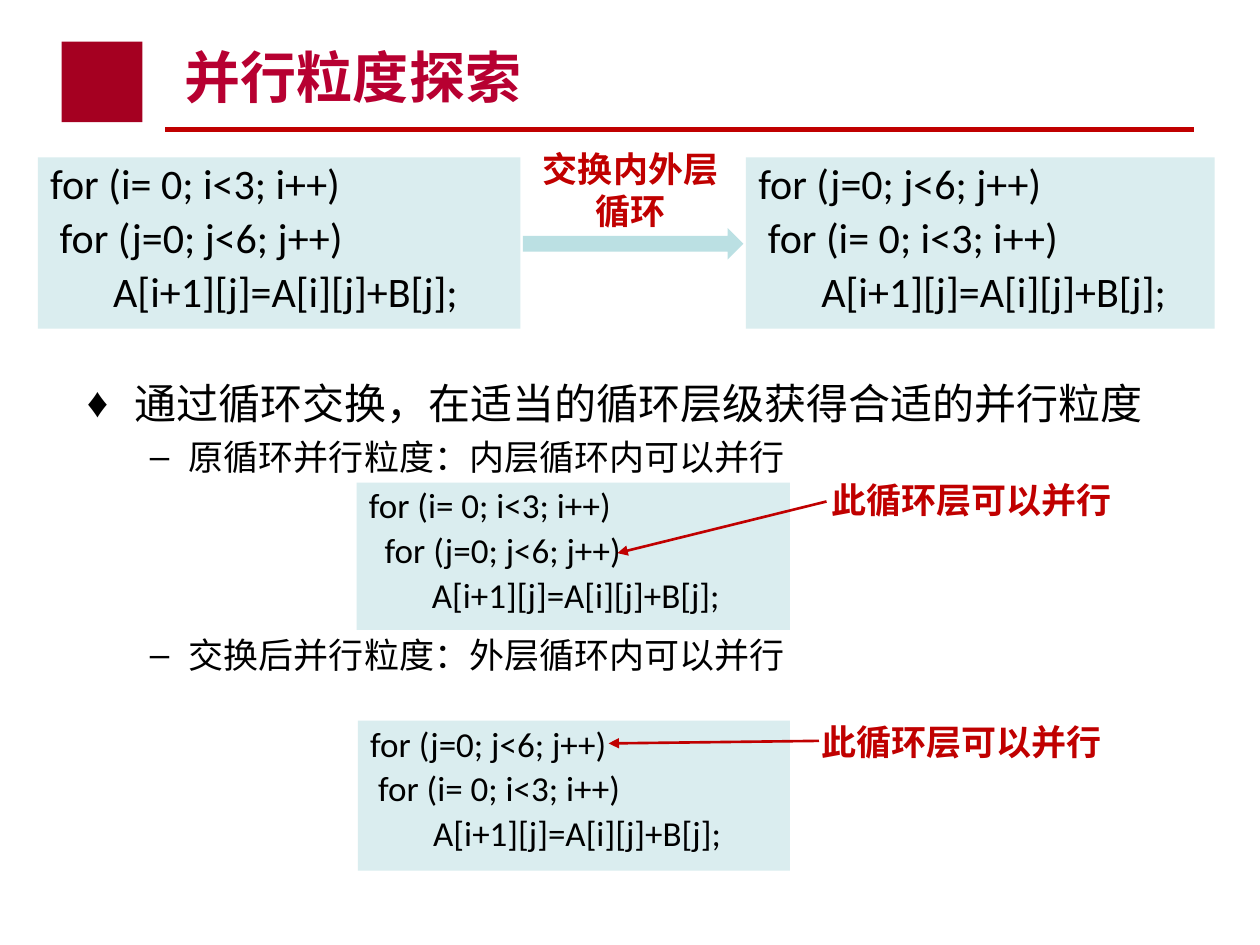
from lxml import etree
from pptx import Presentation
from pptx.dml.color import RGBColor
from pptx.enum.shapes import MSO_CONNECTOR, MSO_SHAPE
from pptx.enum.text import MSO_ANCHOR, PP_ALIGN
from pptx.oxml.ns import qn
from pptx.util import Inches, Pt

COLORS = {
    "title": "B70031", "accent": "C00000", "text": "000000",
    "code": "DAEDEF", "swap": "BBE0E3", "marker": "A50021",
}

deck = Presentation()
deck.slide_width, deck.slide_height = Inches(10), Inches(7.5)
COLUMN, ROW = deck.slide_width / 100, deck.slide_height / 75
slide = deck.slides.add_slide(deck.slide_layouts[6])
shapes = slide.shapes


def on_grid(left, top, right, bottom):
    return [int(left * COLUMN), int(top * ROW), int(right * COLUMN), int(bottom * ROW)]


def style(paragraph, size, color="text", face="Arial", bold=False):
    paragraph.font.size = Pt(size)
    paragraph.font.name = face
    paragraph.font.bold = bold
    paragraph.font.color.rgb = RGBColor.from_string(COLORS[color])


title = shapes.add_textbox(*on_grid(13.7, 2.5, 80, 6.7)).text_frame
title.word_wrap = True
title.vertical_anchor = MSO_ANCHOR.BOTTOM
title.text = "并行粒度探索"
style(title.paragraphs[0], 32, "title", bold=True)

findings = [
    ("通过循环交换，在适当的循环层级获得合适的并行粒度", 24, "♦", 0.38, 0.38, 0),
    ("原循环并行粒度：内层循环内可以并行", 20, "–", 0.81, 0.31, 4),
    ("交换后并行粒度：外层循环内可以并行", 20, "–", 0.81, 0.31, 89),
]
body = shapes.add_textbox(*on_grid(5.9, 29.5, 89.5, 43)).text_frame
body.word_wrap = True
body.text = "\n".join(finding[0] for finding in findings)
for paragraph, (_, size, bullet, margin, hang, gap) in zip(body.paragraphs, findings):
    properties = paragraph._p.get_or_add_pPr()
    properties.set("marL", str(Inches(margin)))
    properties.set("indent", str(-Inches(hang)))
    etree.SubElement(properties, qn("a:buFont")).set("typeface", "Arial")
    etree.SubElement(properties, qn("a:buChar")).set("char", bullet)
    paragraph.space_before = Pt(gap)
    style(paragraph, size)

statement = "A[i+1][j]=A[i][j]+B[j];"
loops = [
    ((3, 12.5, 38.3, 13.6), 24, "for (i= 0; i<3; i++)", " for (j=0; j<6; j++)"),
    ((59.2, 12.5, 37.2, 13.6), 24, "for (j=0; j<6; j++)", " for (i= 0; i<3; i++)"),
    ((28.3, 38.3, 34.4, 11.7), 20, "for (i= 0; i<3; i++)", "  for (j=0; j<6; j++)"),
    ((28.4, 57.2, 34.3, 11.9), 20, "for (j=0; j<6; j++)", " for (i= 0; i<3; i++)"),
]
panels = []
for area, size, outer, inner in loops:
    panel = shapes.add_shape(MSO_SHAPE.RECTANGLE, *on_grid(*area))
    panels.append((panel, "code"))
    code = panel.text_frame
    code.vertical_anchor = MSO_ANCHOR.TOP
    code.text = "\n".join([outer, inner, statement])
    for number, paragraph in enumerate(code.paragraphs):
        paragraph.alignment = PP_ALIGN.LEFT
        paragraph.line_spacing = 0.9
        paragraph.space_before = Pt(size * 0.2 if number else 0)
        style(paragraph, size, face="Calibri")
    paragraph._p.get_or_add_pPr().set("marL", str(Inches(0.5)))

marker = shapes.add_shape(MSO_SHAPE.RECTANGLE, *on_grid(4.9, 3.3, 6.4, 6.4))
swap = shapes.add_shape(MSO_SHAPE.RIGHT_ARROW, *on_grid(41.5, 18.1, 17.5, 2.5))
for area, color in panels + [(marker, "marker"), (swap, "swap")]:
    area.shadow.inherit = False
    area.fill.solid()
    area.fill.fore_color.rgb = RGBColor.from_string(COLORS[color])
    area.line.fill.background()

labels = [
    ((42, 11.2, 16.1, 7.7), "交换内外层\n循环", PP_ALIGN.CENTER),
    ((65, 37.5, 24.6, 4.4), "此循环层可以并行", PP_ALIGN.LEFT),
    ((64.2, 56.7, 24.6, 4.4), "此循环层可以并行", PP_ALIGN.LEFT),
]
for area, wording, alignment in labels:
    label = shapes.add_textbox(*on_grid(*area)).text_frame
    label.word_wrap = False
    label.text = wording
    for paragraph in label.paragraphs:
        paragraph.alignment = alignment
        style(paragraph, 20, "accent", bold=True)

rules = [
    ((13.1, 10.3, 94.8, 10.3), 3, False),
    ((65.6, 39.8, 49, 43.9), 1.5, True),
    ((65, 58.8, 48.3, 59), 1.5, True),
]
for ends, weight, pointed in rules:
    rule = shapes.add_connector(MSO_CONNECTOR.STRAIGHT, *on_grid(*ends))
    rule.line.color.rgb = RGBColor.from_string(COLORS["accent"])
    rule.line.width = Pt(weight)
    if pointed:
        etree.SubElement(rule.line._get_or_add_ln(), qn("a:tailEnd")).set("type", "triangle")
    etree.SubElement(rule._element.spPr, qn("a:effectLst"))

deck.save("out.pptx")
